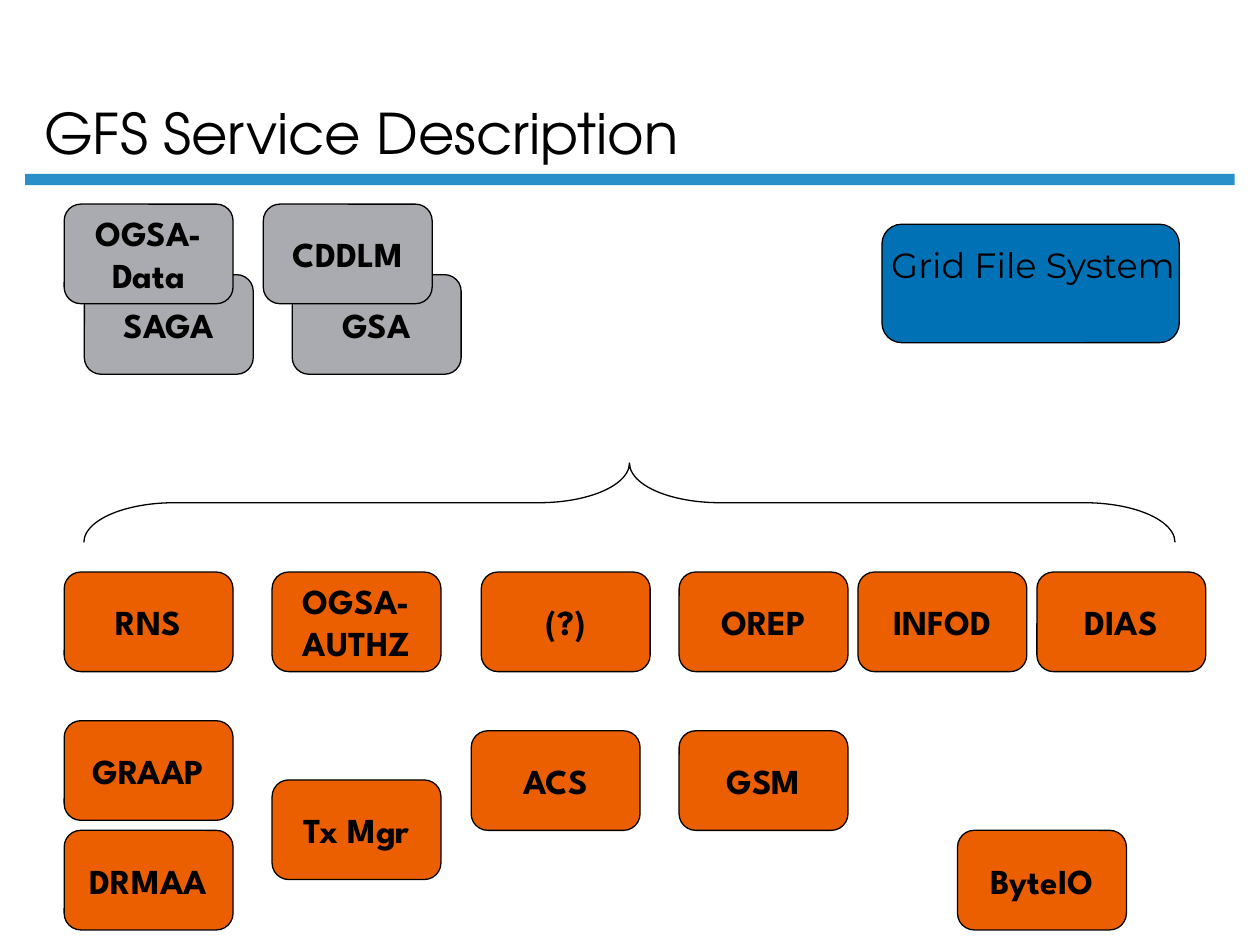
"""Build the GFS Service Description slide."""
from typing import NamedTuple, Optional

from pptx import Presentation
from pptx.dml.color import RGBColor
from pptx.enum.shapes import MSO_SHAPE
from pptx.enum.text import MSO_ANCHOR, MSO_AUTO_SIZE, PP_ALIGN
from pptx.util import Inches, Pt

RECTANGLE = MSO_SHAPE.RECTANGLE
ROUNDED = MSO_SHAPE.ROUNDED_RECTANGLE
BRACE = MSO_SHAPE.LEFT_BRACE
MIDDLE, BOTTOM = MSO_ANCHOR.MIDDLE, MSO_ANCHOR.BOTTOM
LEFT, CENTER = PP_ALIGN.LEFT, PP_ALIGN.CENTER
NO_AUTOFIT = MSO_AUTO_SIZE.NONE

BLACK = RGBColor(0x00, 0x00, 0x00)
RULE_BLUE = RGBColor(0x29, 0x90, 0xCA)
SYSTEM_BLUE = RGBColor(0x00, 0x71, 0xB5)
GRAY = RGBColor(0xAA, 0xAB, 0xB0)
ORANGE = RGBColor(0xEB, 0x5F, 0x01)

TITLE_FORMAT = {"name": "TeX Gyre Adventor", "size": Pt(32), "bold": False}
SYSTEM_FORMAT = {"name": "Montserrat", "size": Pt(20), "bold": False}
SERVICE_FORMAT = {"name": "League Spartan", "size": Pt(20), "bold": True}

SERVICE_WIDTH, SERVICE_HEIGHT = 1.34, 0.79
FIRST_COLUMN, SECOND_COLUMN, FOURTH_COLUMN = 0.51, 2.16, 5.39
MAIN_ROW, LOWER_ROW, BOTTOM_ROW = 4.54, 5.8, 6.59
FRONT_ROW, BACK_ROW = 1.62, 2.18


class Box(NamedTuple):
    """Position and size in inches."""

    left: float
    top: float
    width: float
    height: float

    def lengths(self) -> list:
        """Return the four values as lengths."""
        return [Inches(value) for value in self]


class Service(NamedTuple):
    """A named service and the top left corner of its box."""

    name: str
    left: float
    top: float
    color: RGBColor = ORANGE


SERVICES = (
    Service("GSA", 2.32, BACK_ROW, GRAY),
    Service("CDDLM", 2.09, FRONT_ROW, GRAY),
    Service("SAGA", 0.67, BACK_ROW, GRAY),
    Service("OGSA-\vData", FIRST_COLUMN, FRONT_ROW, GRAY),
    Service("RNS", FIRST_COLUMN, MAIN_ROW),
    Service("OGSA-\vAUTHZ", SECOND_COLUMN, MAIN_ROW),
    Service("(?)", 3.82, MAIN_ROW),
    Service("OREP", FOURTH_COLUMN, MAIN_ROW),
    Service("INFOD", 6.81, MAIN_ROW),
    Service("DIAS", 8.23, MAIN_ROW),
    Service("GRAAP", FIRST_COLUMN, 5.72),
    Service("DRMAA", FIRST_COLUMN, BOTTOM_ROW),
    Service("Tx Mgr", SECOND_COLUMN, 6.19),
    Service("ACS", 3.74, LOWER_ROW),
    Service("GSM", FOURTH_COLUMN, LOWER_ROW),
    Service("ByteIO", 7.6, BOTTOM_ROW),
)


def write_text(shape, text: str, font_format: dict, alignment: PP_ALIGN) -> None:
    """Write one formatted paragraph into a shape."""
    paragraph = shape.text_frame.paragraphs[0]
    paragraph.text = text
    paragraph.alignment = alignment
    paragraph.font.color.rgb = BLACK
    for attribute, value in font_format.items():
        setattr(paragraph.font, attribute, value)


def add_shape(slide, kind: MSO_SHAPE, box: Box, fill: Optional[RGBColor], outlined: bool = True):
    """Add a flat preset shape with an optional fill and outline."""
    shape = slide.shapes.add_shape(kind, *box.lengths())
    shape.shadow.inherit = False
    if fill is None:
        shape.fill.background()
    else:
        shape.fill.solid()
        shape.fill.fore_color.rgb = fill
    if outlined:
        shape.line.color.rgb = BLACK
        shape.line.width = Pt(0.75)
    else:
        shape.line.fill.background()
    return shape


def add_service(slide, service: Service) -> None:
    """Add the labelled box of one service."""
    box = Box(service.left, service.top, SERVICE_WIDTH, SERVICE_HEIGHT)
    shape = add_shape(slide, ROUNDED, box, service.color)
    shape.text_frame.word_wrap = False
    shape.text_frame.vertical_anchor = MIDDLE
    write_text(shape, service.name, SERVICE_FORMAT, CENTER)


def add_title(slide, text: str) -> None:
    """Fill and place the title placeholder."""
    title = slide.shapes.title
    title.left, title.top, title.width, title.height = Box(0.25, 0.12, 8.56, 1.25).lengths()
    title.text_frame.vertical_anchor = BOTTOM
    title.text_frame.auto_size = NO_AUTOFIT
    write_text(title, text, TITLE_FORMAT, LEFT)
    title.text_frame.paragraphs[0].line_spacing = 0.9


def add_grid_file_system(slide) -> None:
    """Add the file system box and its label."""
    add_shape(slide, ROUNDED, Box(7, 1.78, 2.36, 0.94), SYSTEM_BLUE)
    label = slide.shapes.add_textbox(*Box(6.92, 1.88, 2.56, 0.44).lengths())
    label.text_frame.word_wrap = True
    write_text(label, "Grid File System", SYSTEM_FORMAT, CENTER)


def add_brace(slide) -> None:
    """Add the upward brace above the main row."""
    brace = add_shape(slide, BRACE, Box(4.68, -0.34, 0.63, 8.66), None)
    brace.rotation = 90
    brace.adjustments[0] = 1.14


def main() -> None:
    """Create and save the presentation."""
    presentation = Presentation()
    presentation.slide_width = Inches(10)
    presentation.slide_height = Inches(7.5)
    slide = presentation.slides.add_slide(presentation.slide_layouts[5])
    add_title(slide, "GFS Service Description")
    add_shape(slide, RECTANGLE, Box(0.2, 1.38, 9.6, 0.09), RULE_BLUE, outlined=False)
    add_brace(slide)
    add_grid_file_system(slide)
    for service in SERVICES:
        add_service(slide, service)
    presentation.save("out.pptx")


if __name__ == "__main__":
    main()
